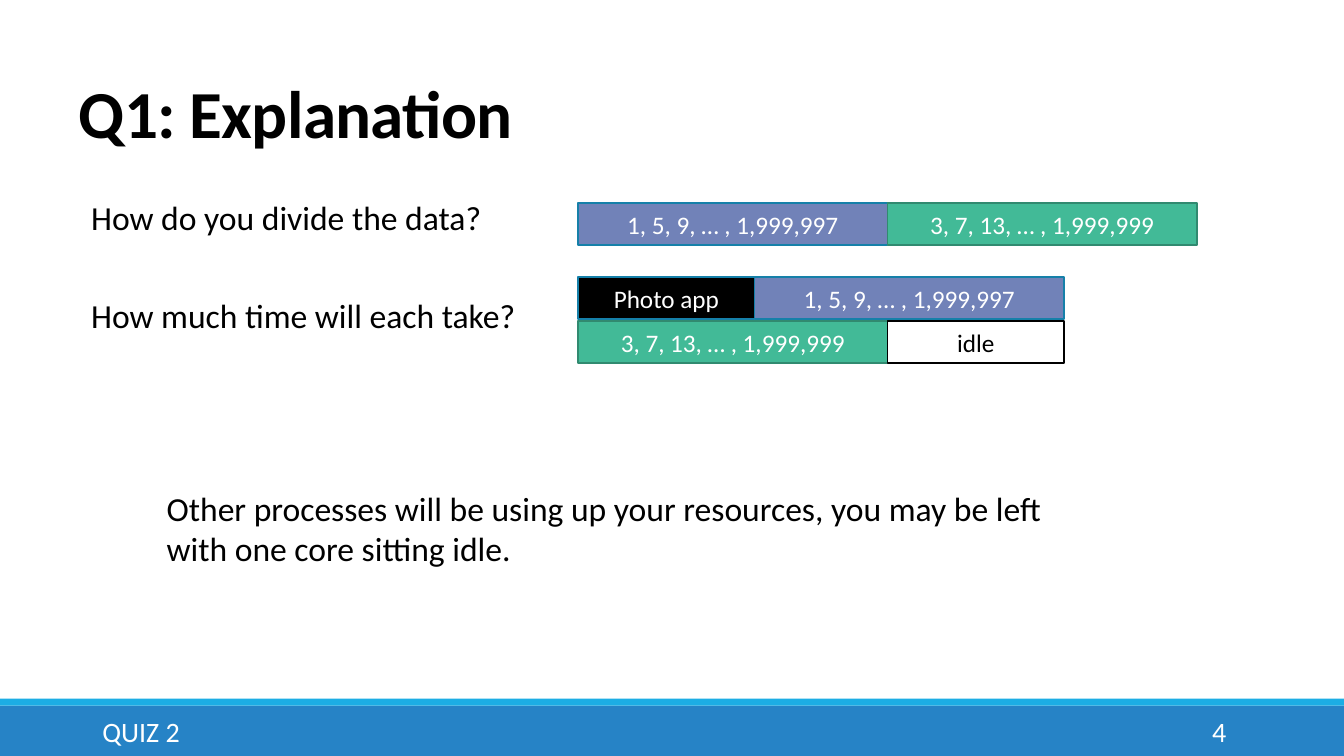
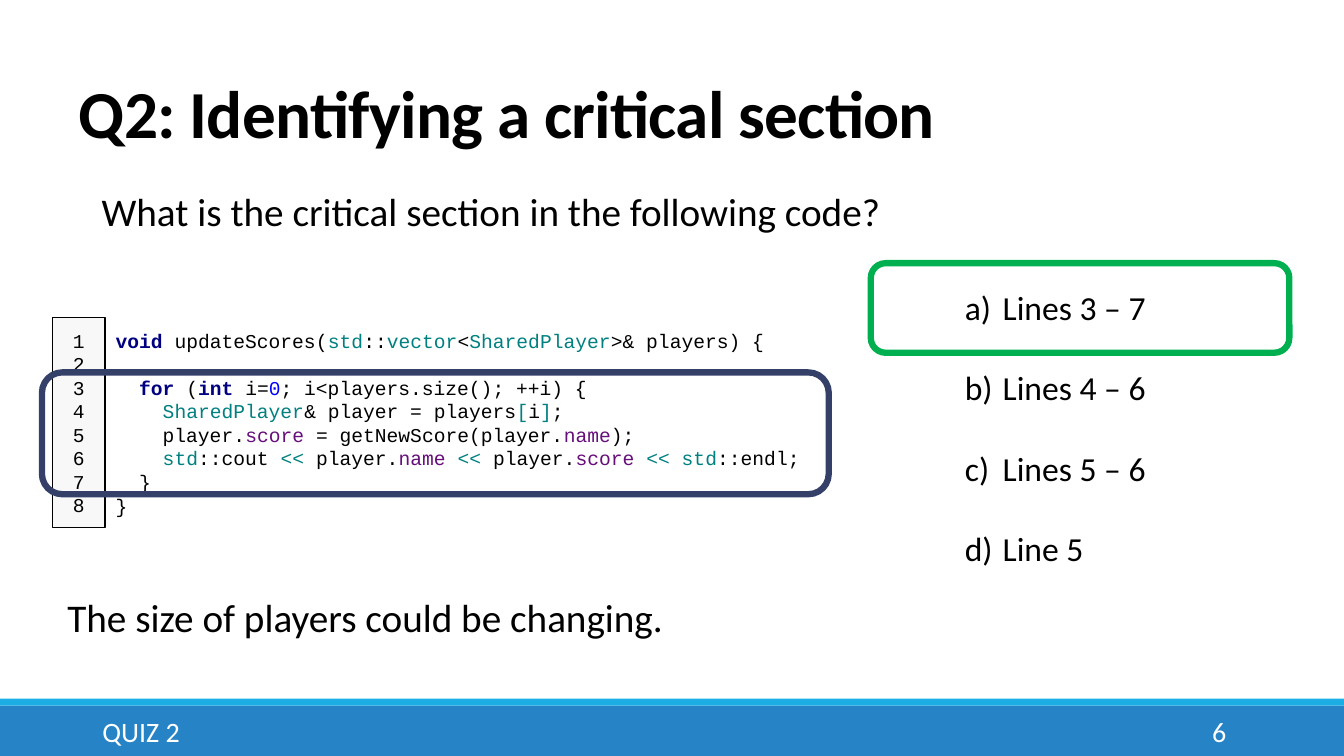
"""Build two quiz slides: dividing work between cores, and a critical section."""
import pptx
import pptx.util
from lxml import etree
from pptx.dml.color import RGBColor
from pptx.enum.shapes import MSO_SHAPE
from pptx.enum.text import MSO_ANCHOR, MSO_AUTO_SIZE, PP_ALIGN
from pptx.oxml.ns import qn

Pt = pptx.util.Pt

BLACK = RGBColor(0x00, 0x00, 0x00)
WHITE = RGBColor(0xFF, 0xFF, 0xFF)
BAND_BLUE = RGBColor(0x26, 0x83, 0xC6)
BAND_CYAN = RGBColor(0x1C, 0xAD, 0xE4)
BAR_BLUE = RGBColor(0x71, 0x82, 0xB8)
BAR_BLUE_EDGE = RGBColor(0x15, 0x80, 0xA9)
BAR_GREEN = RGBColor(0x42, 0xBA, 0x97)
BAR_GREEN_EDGE = RGBColor(0x31, 0x8A, 0x70)
GUTTER = RGBColor(0xF8, 0xF8, 0xF8)
ANSWER_GREEN = RGBColor(0x00, 0xB0, 0x50)
SECTION_NAVY = RGBColor(0x34, 0x40, 0x68)
KEYWORD = RGBColor(0x00, 0x00, 0x80)
TYPE = RGBColor(0x00, 0x80, 0x80)
FIELD = RGBColor(0x66, 0x0E, 0x7A)
NUMBER = RGBColor(0x00, 0x00, 0xFF)

SANS, MONO = "Calibri", "Courier New"
WIDTH, HEIGHT = 960, 540
FOOTER = "QUIZ 2"
BANDS = [(504, 36, BAND_BLUE), (499, 5, BAND_CYAN)]

EXPLANATION = {
    "title": "Q1: Explanation",
    "number": "4",
    "texts": [
        ("How do you divide the data?", (58, 137, 300, 36), 24),
        ("How much time will each take?", (58, 207, 336, 36), 24),
        ("Other processes will be using up your resources, you may be left "
         "with one core sitting idle.", (112, 345, 681, 66), 24),
    ],
}
CRITICAL = {
    "title": "Q2: Identifying a critical section",
    "number": "6",
    "texts": [
        ("What is the critical section in the following code?", (65.5, 130, 577, 41), 28),
        ("The size of players could be changing.", (41, 420, 445, 41), 28),
    ],
}

BAR_LEFT, BAR_HEIGHT = 413, 30
BARS = {
    "first": ("1, 5, 9, … , 1,999,997", 221, BAR_BLUE, BAR_BLUE_EDGE, WHITE),
    "second": ("3, 7, 13, … , 1,999,999", 221, BAR_GREEN, BAR_GREEN_EDGE, WHITE),
    "other": ("Photo app", 126, BLACK, BAR_BLUE_EDGE, WHITE),
    "idle": ("idle", 126, WHITE, BLACK, BLACK),
}
BAR_ROWS = [
    (145, ("first", "second")),
    (198, ("other", "first")),
    (229.5, ("second", "idle")),
]

ANSWERS = ["Lines 3 – 7", "Lines 4 – 6", "Lines 5 – 6", "Line 5"]
CODE = [
    [("void ", KEYWORD), ("updateScores(", BLACK), ("std", TYPE), ("::", BLACK),
     ("vector", TYPE), ("<", BLACK), ("SharedPlayer", TYPE), (">& players) {", BLACK)],
    [],
    [("  ", BLACK), ("for ", KEYWORD), ("(", BLACK), ("int ", KEYWORD), ("i=", BLACK),
     ("0", NUMBER), ("; i<players.size(); ++i) {", BLACK)],
    [("    ", BLACK), ("SharedPlayer", TYPE), ("& player = players", BLACK),
     ("[", TYPE), ("i", BLACK), ("]", TYPE), (";", BLACK)],
    [("    player.", BLACK), ("score ", FIELD), ("= getNewScore(player.", BLACK),
     ("name", FIELD), (");", BLACK)],
    [("    ", BLACK), ("std", TYPE), ("::cout ", BLACK), ("<< ", TYPE),
     ("player.", BLACK), ("name ", FIELD), ("<< ", TYPE), ("player.", BLACK),
     ("score ", FIELD), ("<< std", TYPE), ("::endl;", BLACK)],
    [("  }", BLACK)],
    [("}", BLACK)],
]
LINE_NUMBERS = [[(str(n), BLACK)] for n in range(1, len(CODE) + 1)]


def add_run(p, text, size, color, font=SANS, bold=False):
    r = p.add_run()
    r.text = text
    r.font.size, r.font.name, r.font.bold = Pt(size), font, bold
    r.font.color.rgb = color


def add_text(slide, text, box, size, color=BLACK, align=PP_ALIGN.LEFT, anchor=MSO_ANCHOR.TOP):
    tf = slide.shapes.add_textbox(*map(Pt, box)).text_frame
    tf.word_wrap, tf.vertical_anchor = True, anchor
    tf.paragraphs[0].alignment = align
    add_run(tf.paragraphs[0], text, size, color)


def add_box(slide, box, fill=None, line=None, weight=1.25, kind=MSO_SHAPE.RECTANGLE):
    sp = slide.shapes.add_shape(kind, *map(Pt, box))
    sp.shadow.inherit = False
    if fill is None:
        sp.fill.background()
    else:
        sp.fill.solid()
        sp.fill.fore_color.rgb = fill
    if line is None:
        sp.line.fill.background()
    else:
        sp.line.color.rgb = line
        sp.line.width = Pt(weight)
    return sp


def add_code(slide, box, lines, align, fill, line=None):
    tf = add_box(slide, box, fill, line, 1).text_frame
    tf.word_wrap, tf.vertical_anchor = True, MSO_ANCHOR.MIDDLE
    for i, tokens in enumerate(lines):
        p = tf.add_paragraph() if i else tf.paragraphs[0]
        p.alignment, p.line_spacing = align, Pt(16.8)
        for text, color in tokens:
            add_run(p, text, 14, color, MONO, color == KEYWORD)


def place(sp, box):
    sp.left, sp.top, sp.width, sp.height = map(Pt, box)


def style_master(prs, slide):
    master = prs.slide_master
    for i, (top, height, color) in enumerate(BANDS):
        band = add_box(slide, (0, top, WIDTH, height), color).element
        band.nvSpPr.cNvPr.set("id", str(100 + i))
        master.shapes.element.insert(2 + i, band)
    title = master.placeholders[0]
    place(title, (49, 51, 792, 61))
    title.text_frame.vertical_anchor = MSO_ANCHOR.BOTTOM
    title.text_frame.auto_size = MSO_AUTO_SIZE.NONE
    level = master.element.find(f".//{qn('p:titleStyle')}/{qn('a:lvl1pPr')}")
    level.set("algn", "l")
    spacing = etree.Element(qn("a:lnSpc"))
    etree.SubElement(spacing, qn("a:spcPct")).set("val", "85000")
    level.insert(0, spacing)
    font = level.find(qn("a:defRPr"))
    for name, value in (("sz", "4800"), ("b", "1"), ("spc", "-50")):
        font.set(name, value)


def fill_slide(slide, content):
    slide.shapes.title.text_frame.text = content["title"]
    add_text(slide, FOOTER, (66, 508, 604, 29), 20, WHITE, anchor=MSO_ANCHOR.MIDDLE)
    add_text(slide, content["number"], (780, 508, 103, 29), 20, WHITE,
             PP_ALIGN.RIGHT, MSO_ANCHOR.MIDDLE)
    for text, box, size in content["texts"]:
        add_text(slide, text, box, size)


def add_bars(slide):
    for top, names in BAR_ROWS:
        left = BAR_LEFT
        for name in names:
            text, width, fill, line, color = BARS[name]
            tf = add_box(slide, (left, top, width, BAR_HEIGHT), fill, line).text_frame
            tf.vertical_anchor = MSO_ANCHOR.MIDDLE
            tf.paragraphs[0].alignment = PP_ALIGN.CENTER
            add_run(tf.paragraphs[0], text, 18, color)
            left += width


def add_answers(slide):
    body = slide.placeholders[1]
    place(body, (682, 201.5, 145, 211))
    tf = body.text_frame
    tf.auto_size = MSO_AUTO_SIZE.NONE
    for i, answer in enumerate(ANSWERS):
        p = tf.add_paragraph() if i else tf.paragraphs[0]
        pPr = p._p.get_or_add_pPr()
        pPr.set("marL", str(Pt(27)))
        pPr.set("indent", str(-Pt(27)))
        etree.SubElement(pPr, qn("a:buFont")).set("typeface", SANS)
        etree.SubElement(pPr, qn("a:buAutoNum")).set("type", "alphaLcParenR")
        p.space_before = Pt(28.5 if i else 0)
        add_run(p, answer, 24, BLACK)


def main():
    prs = pptx.Presentation()
    prs.slide_width, prs.slide_height = Pt(WIDTH), Pt(HEIGHT)

    slide = prs.slides.add_slide(prs.slide_layouts.get_by_name("Title Only"))
    style_master(prs, slide)
    fill_slide(slide, EXPLANATION)
    add_bars(slide)

    slide = prs.slides.add_slide(prs.slide_layouts.get_by_name("Title and Content"))
    fill_slide(slide, CRITICAL)
    add_code(slide, (75.5, 230.5, 581, 143), CODE, PP_ALIGN.LEFT, WHITE)
    add_code(slide, (37.5, 227, 37.5, 150), LINE_NUMBERS, PP_ALIGN.CENTER, GUTTER, BLACK)
    add_answers(slide)
    for box, color in (((622, 188, 299, 64), ANSWER_GREEN), ((30, 266, 562, 87), SECTION_NAVY)):
        add_box(slide, box, None, color, 4.5, MSO_SHAPE.ROUNDED_RECTANGLE)

    prs.save("out.pptx")


if __name__ == "__main__":
    main()
